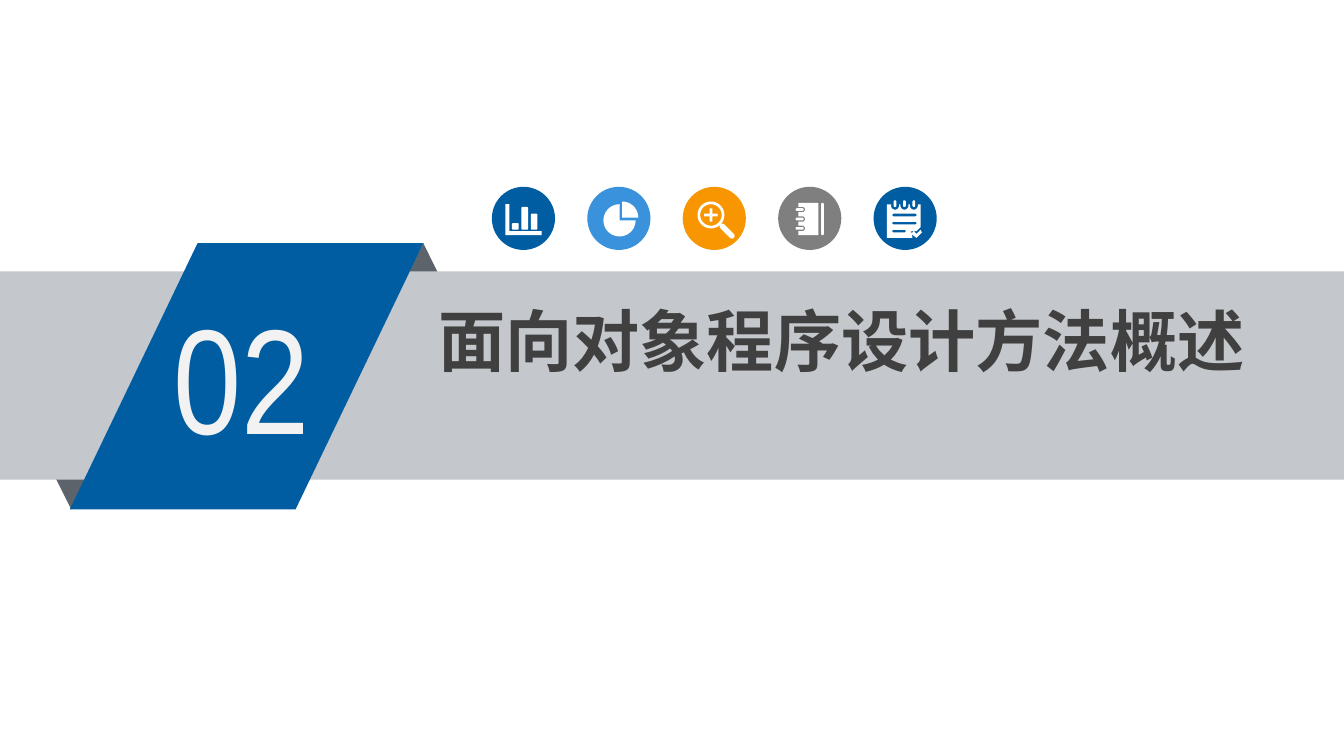
"""Build a section slide with a ribbon number, a title and a row of round icons."""
import dataclasses
import math

import lxml.etree
import pptx
import pptx.dml.color
import pptx.enum.shapes
import pptx.enum.text
import pptx.oxml.ns
import pptx.shapes.base
import pptx.slide
import pptx.util

Inches = pptx.util.Inches
Kind = pptx.enum.shapes.MSO_SHAPE
Align = pptx.enum.text.PP_ALIGN
Point = tuple[float, float]
Outline = list[Point]


@dataclasses.dataclass(frozen=True)
class Theme:
    blue: str = "005DA2"
    sky: str = "3992DB"
    orange: str = "F79600"
    gray: str = "7F7F7F"
    band: str = "C4C7CB"
    fold: str = "5D636A"
    white: str = "FFFFFF"
    pale: str = "F2F2F2"
    dark: str = "404040"
    digit: str = "Arial Narrow"
    head: str = "Noto Sans CJK SC"
    large: int = 80
    title: int = 36


@dataclasses.dataclass(frozen=True)
class Block:
    kind: Kind
    box: tuple[float, float, float, float]
    fill: str
    turn: int = 0
    adjust: tuple[float, ...] = ()


@dataclasses.dataclass(frozen=True)
class Icon:
    fill: str
    lines: list[Outline]


THEME = Theme()
SIZE, STEP, LEFT, TOP = 0.47, 0.71, 3.66, 1.39


def paint(shape: pptx.shapes.base.BaseShape, color: str) -> None:
    shape.shadow.inherit = False
    shape.fill.solid()
    shape.fill.fore_color.rgb = pptx.dml.color.RGBColor.from_string(color)
    shape.line.fill.background()


def draw(group: pptx.slide.SlideShapes, block: Block) -> None:
    shape = group.add_shape(block.kind, *map(Inches, block.box))
    shape.rotation = block.turn
    for index, value in enumerate(block.adjust):
        shape.adjustments[index] = value
    paint(shape, block.fill)


def write(shape: pptx.shapes.base.BaseShape, text: str, font: str, size: int,
          color: str, bold: bool, align: Align, side: float) -> None:
    frame = shape.text_frame
    frame.text = text
    frame.word_wrap = True
    frame.auto_size = pptx.enum.text.MSO_AUTO_SIZE.NONE
    frame.vertical_anchor = pptx.enum.text.MSO_ANCHOR.TOP
    frame.margin_left = frame.margin_right = Inches(side)
    frame.margin_top = frame.margin_bottom = Inches(0.04)
    line = frame.paragraphs[0]
    line.alignment = align
    run = line.runs[0]
    run.font.name, run.font.size, run.font.bold = font, pptx.util.Pt(size), bold
    run.font.color.rgb = pptx.dml.color.RGBColor.from_string(color)
    east = lxml.etree.SubElement(run._r.get_or_add_rPr(), pptx.oxml.ns.qn("a:ea"))
    east.set("typeface", font)


def arc(x: float, y: float, radius: float, start: int, end: int) -> Outline:
    count = max(4, abs(end - start) // 10)
    turns = [math.radians(start + (end - start) * i / count) for i in range(count + 1)]
    return [(x + radius * math.cos(t), y + radius * math.sin(t)) for t in turns]


def pill(x: float, y: float, wide: float, high: float, radius: float = 0.01) -> Outline:
    near, far = x + radius, x + wide - radius
    top, low = y + radius, y + high - radius
    spots = [(far, low), (near, low), (near, top), (far, top)]
    return [p for i, (a, b) in enumerate(spots)
            for p in arc(a, b, radius, 90 * i, 90 * i + 90)]


def spin(line: Outline, x: float, y: float, angle: float) -> Outline:
    cos, sin = math.cos(math.radians(angle)), math.sin(math.radians(angle))
    return [(x + (a - x) * cos - (b - y) * sin, y + (a - x) * sin + (b - y) * cos)
            for a, b in line]


def bars() -> list[Outline]:
    axis = [(0.1, 0.13), (0.13, 0.13), (0.13, 0.33), (0.37, 0.33), (0.37, 0.36), (0.1, 0.36)]
    return [axis] + [pill(0.15 + 0.07 * i, 0.32 - high, 0.05, high)
                     for i, high in enumerate((0.05, 0.17, 0.12))]


def pie() -> list[Outline]:
    return [[(0.24, 0.25)] + arc(0.24, 0.25, 0.12, 0, 270),
            [(0.26, 0.23)] + arc(0.26, 0.23, 0.12, 270, 360)]


def lens() -> list[Outline]:
    a, b, c, d = 0.16, 0.2, 0.22, 0.26
    plus = [(b, a), (c, a), (c, b), (d, b), (d, c), (c, c),
            (c, d), (b, d), (b, c), (a, c), (a, b), (b, b)]
    grip = spin(pill(0.31, 0.19, 0.14, 0.04, 0.02), 0.21, 0.21, 45)
    return [arc(0.21, 0.21, 0.1, 0, 360), arc(0.21, 0.21, 0.08, 0, 360), plus, grip]


def book() -> list[Outline]:
    rows = [0.17 + 0.07 * i for i in range(3)]
    edge = [(0.15, 0.12)]
    for row in rows:
        edge += [(0.15, row - 0.02)] + arc(0.18, row, 0.02, -90, 90) + [(0.15, row + 0.02)]
    edge += [(0.15, 0.36), (0.3, 0.36), (0.3, 0.12)]
    rings = [pill(0.13, row - 0.01, 0.06, 0.02) for row in rows]
    return [edge, pill(0.32, 0.12, 0.02, 0.24)] + rings


def notes() -> list[Outline]:
    tabs = [0.16 + 0.07 * i for i in range(3)]
    sheet = [(0.1, 0.13)]
    for tab in tabs:
        sheet += [(tab - 0.03, 0.13)] + arc(tab, 0.14, 0.03, 180, 0) + [(tab + 0.03, 0.13)]
    sheet += [(0.35, 0.13), (0.35, 0.3), (0.32, 0.33), (0.28, 0.33), (0.29, 0.38), (0.1, 0.38)]
    text = [pill(0.14, 0.2 + 0.06 * i, wide, 0.02)
            for i, wide in enumerate((0.18, 0.18, 0.1))]
    tick = [(0.3, 0.33), (0.32, 0.35), (0.35, 0.32), (0.36, 0.34), (0.32, 0.38), (0.28, 0.35)]
    return [sheet, tick] + text + [pill(tab - 0.01, 0.1, 0.02, 0.05) for tab in tabs]


def stamp(shapes: pptx.slide.SlideShapes, icon: Icon, left: float) -> None:
    group = shapes.add_group_shape().shapes
    draw(group, Block(Kind.OVAL, (left, TOP, SIZE, SIZE), icon.fill))
    paths = [[(Inches(left + x), Inches(TOP + y)) for x, y in line] for line in icon.lines]
    pen = group.build_freeform(*paths[0][0])
    pen.add_line_segments(paths[0][1:])
    for line in paths[1:]:
        pen.move_to(*line[0])
        pen.add_line_segments(line[1:])
    paint(pen.convert_to_shape(), THEME.white)


def main() -> None:
    deck = pptx.Presentation()
    deck.slide_width, deck.slide_height = Inches(10), Inches(10 * 9 / 16)
    slide = deck.slides.add_slide(deck.slide_layouts[5])
    title = slide.shapes.title

    ribbon = slide.shapes.add_group_shape().shapes
    for block in (
        Block(Kind.ISOSCELES_TRIANGLE, (2.7, 1.81, 0.9, 0.91), THEME.fold),
        Block(Kind.ISOSCELES_TRIANGLE, (0.08, 2.89, 0.9, 0.9), THEME.fold, 180),
        Block(Kind.RECTANGLE, (0, 2.02, 10, 1.55), THEME.band),
        Block(Kind.PARALLELOGRAM, (0.52, 1.81, 2.63, 1.98), THEME.blue, 0, (0.48,)),
    ):
        draw(ribbon, block)
    label = ribbon.add_textbox(*map(Inches, (1.22, 2.08, 1.45, 1.42)))
    write(label, "02", THEME.digit, THEME.large, THEME.pale, False, Align.LEFT, 0.07)

    slide.shapes._spTree.append(title._element)
    title.left, title.top, title.width, title.height = map(Inches, (3.03, 2.19, 6.46, 0.68))
    write(title, "面向对象程序设计方法概述", THEME.head, THEME.title, THEME.dark,
          True, Align.CENTER, 0.08)

    icons = [Icon(THEME.blue, bars()), Icon(THEME.sky, pie()), Icon(THEME.orange, lens()),
             Icon(THEME.gray, book()), Icon(THEME.blue, notes())]
    for index, icon in enumerate(icons):
        stamp(slide.shapes, icon, LEFT + STEP * index)
    deck.save("out.pptx")


if __name__ == "__main__":
    main()
